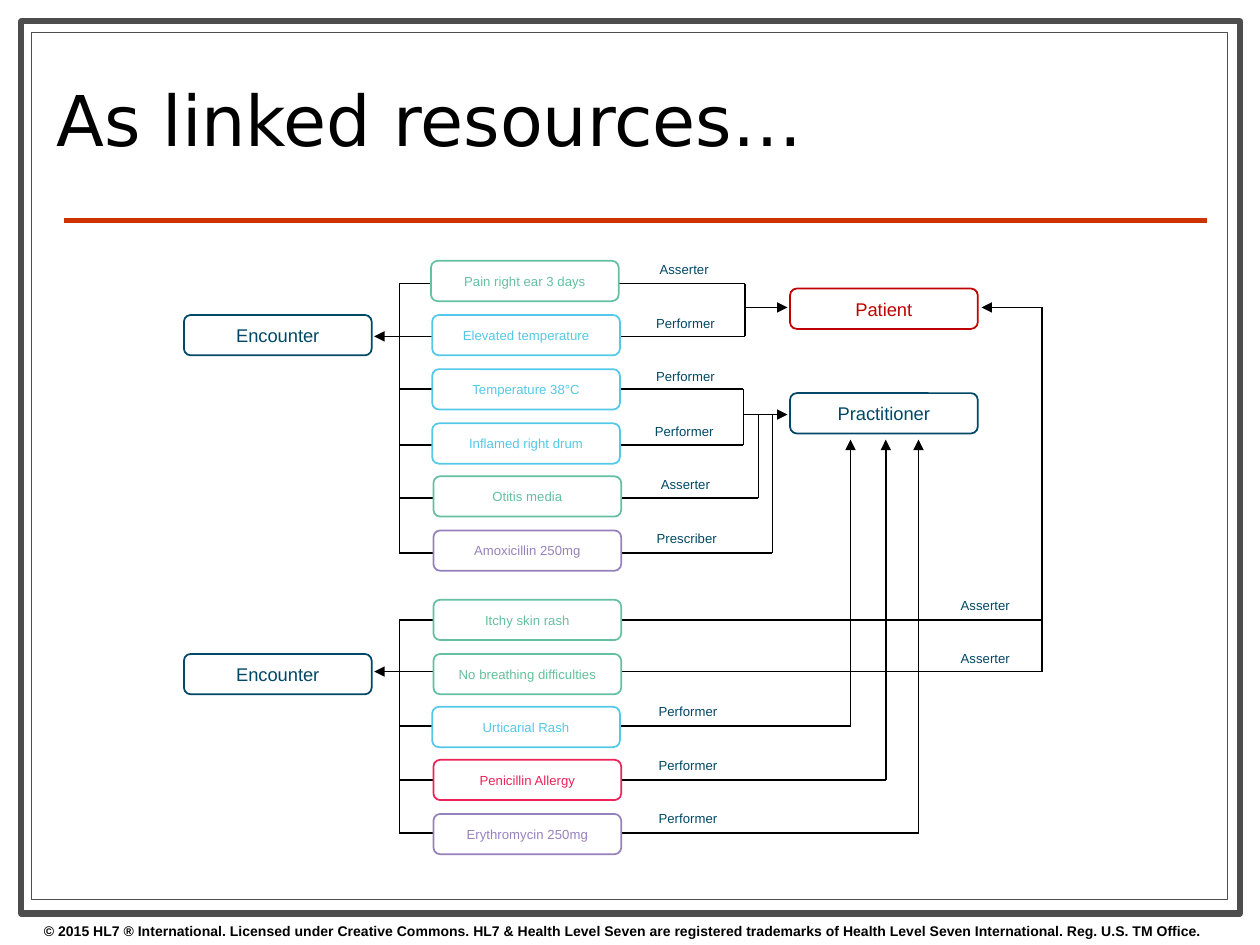
"""Build a slide of two encounters drawn as linked resources."""
from lxml import etree
from pptx import Presentation
from pptx.dml.color import RGBColor
from pptx.enum import shapes, text
from pptx.oxml import ns
from pptx.util import Inches, Pt

BLACK = RGBColor(0, 0, 0)
WHITE = RGBColor(255, 255, 255)
GRAY = RGBColor(0x4D, 0x4D, 0x4D)
RUST = RGBColor(0xCC, 0x33, 0x00)
NAVY = RGBColor(0x00, 0x48, 0x66)
RED = RGBColor(0xC0, 0x00, 0x00)
GREEN = RGBColor(0x64, 0xC0, 0x9F)
SKY = RGBColor(0x54, 0xC8, 0xE8)
PURPLE = RGBColor(0x97, 0x81, 0xBC)
PINK = RGBColor(0xEE, 0x21, 0x59)


def write(shape, words, size=7.5, color=NAVY, font="Arial", bold=False,
          align=text.PP_ALIGN.CENTER, anchor=text.MSO_ANCHOR.MIDDLE, space=1.0):
    frame = shape.text_frame
    frame.word_wrap = True
    frame.vertical_anchor = anchor
    para = frame.paragraphs[0]
    para.alignment = align
    para.line_spacing = space
    run = para.add_run()
    run.text = words
    run.font.size = Pt(size)
    run.font.name = font
    run.font.bold = bold
    run.font.color.rgb = color


def link(x1, y1, x2, y2, color=BLACK, width=1, arrow=False):
    line = slide.shapes.add_connector(
        shapes.MSO_CONNECTOR.STRAIGHT, Inches(x1), Inches(y1), Inches(x2), Inches(y2))
    line.line.color.rgb = color
    line.line.width = Pt(width)
    if arrow:
        etree.SubElement(line.line._get_or_add_ln(), ns.qn("a:tailEnd"), type="triangle")
    etree.SubElement(line._element.spPr, ns.qn("a:effectLst"))


deck = Presentation()
deck.slide_width, deck.slide_height = Inches(10), Inches(7.5)
slide = deck.slides.add_slide(deck.slide_layouts[6])

for left, top, wide, high, weight in [
    (0.17, 0.17, 9.67, 7.08, 3.5),
    (0.25, 0.26, 9.49, 6.88, 0.75),
]:
    frame = slide.shapes.add_shape(
        shapes.MSO_SHAPE.RECTANGLE, Inches(left), Inches(top), Inches(wide), Inches(high))
    frame.shadow.inherit = False
    frame.fill.solid()
    frame.fill.fore_color.rgb = WHITE
    frame.line.color.rgb = GRAY
    frame.line.width = Pt(weight)

link(0.51, 1.75, 9.58, 1.75, RUST, 3)
title = slide.shapes.add_textbox(Inches(0.35), Inches(0.36), Inches(7.17), Inches(1.29))
write(title, "As linked resources…", size=40, color=BLACK, font="DejaVu Sans",
      align=text.PP_ALIGN.LEFT, space=0.8)
foot = slide.shapes.add_textbox(Inches(0.25), Inches(7.27), Inches(10), Inches(0.23))
write(foot, "© 2015 HL7 ® International. Licensed under Creative Commons. "
      "HL7 & Health Level Seven are registered trademarks of "
      "Health Level Seven International. Reg. U.S. TM Office.",
      size=8, color=BLACK, bold=True, align=text.PP_ALIGN.LEFT, anchor=text.MSO_ANCHOR.TOP)

SPINE, PAIR, TEAM, FAR = 3.17, 5.91, 5.9, 8.27
for y, end in [
    (2.25, PAIR), (3.09, TEAM), (3.53, TEAM), (3.95, 6.02), (4.39, 6.13),
    (4.92, FAR), (5.76, 6.75), (6.19, 7.03), (6.61, 7.29),
]:
    link(SPINE, y, end, y)
for x, top, base in [
    (SPINE, 2.25, 4.39), (SPINE, 4.92, 6.61), (PAIR, 2.25, 2.67), (TEAM, 3.09, 3.53),
    (6.02, 3.29, 3.95), (6.13, 3.29, 4.39), (FAR, 2.44, 5.33),
]:
    link(x, top, x, base)
for start, end, y in [
    (PAIR, 2.97, 2.67), (FAR, 2.97, 5.33), (FAR, 7.79, 2.44),
    (PAIR, 6.25, 2.44), (TEAM, 6.25, 3.29),
]:
    link(start, y, end, y, arrow=True)
for x, base in [(6.75, 5.76), (7.03, 6.19), (7.29, 6.61)]:
    link(x, base, x, 3.49, arrow=True)

for words, x, y, color, size in [
    ("Encounter", 1.46, 2.5, NAVY, 10.5),
    ("Encounter", 1.46, 5.19, NAVY, 10.5),
    ("Patient", 6.27, 2.29, RED, 10.5),
    ("Practitioner", 6.27, 3.12, NAVY, 10.5),
    ("Pain right ear 3 days", 3.42, 2.07, GREEN, 7.5),
    ("Elevated temperature", 3.43, 2.5, SKY, 7.5),
    ("Temperature 38°C", 3.43, 2.93, SKY, 7.5),
    ("Inflamed right drum", 3.43, 3.36, SKY, 7.5),
    ("Otitis media", 3.44, 3.78, GREEN, 7.5),
    ("Amoxicillin 250mg", 3.44, 4.21, PURPLE, 7.5),
    ("Itchy skin rash", 3.44, 4.76, GREEN, 7.5),
    ("No breathing difficulties", 3.44, 5.19, GREEN, 7.5),
    ("Urticarial Rash", 3.43, 5.61, SKY, 7.5),
    ("Penicillin Allergy", 3.44, 6.03, PINK, 7.5),
    ("Erythromycin 250mg", 3.44, 6.46, PURPLE, 7.5),
]:
    box = slide.shapes.add_shape(
        shapes.MSO_SHAPE.ROUNDED_RECTANGLE, Inches(x), Inches(y), Inches(1.49), Inches(0.32))
    box.shadow.inherit = False
    box.fill.solid()
    box.fill.fore_color.rgb = WHITE
    box.line.color.rgb = color
    box.line.width = Pt(1)
    write(box, words, size=size, color=color)

for words, x, y in [
    ("Asserter", 5.07, 2.02), ("Performer", 5.08, 2.45), ("Performer", 5.08, 2.87),
    ("Performer", 5.07, 3.31), ("Asserter", 5.08, 3.73), ("Prescriber", 5.09, 4.16),
    ("Asserter", 7.46, 4.69), ("Asserter", 7.46, 5.11), ("Performer", 5.1, 5.53),
    ("Performer", 5.1, 5.96), ("Performer", 5.1, 6.38),
]:
    label = slide.shapes.add_textbox(Inches(x), Inches(y), Inches(0.72), Inches(0.23))
    write(label, words)

deck.save("out.pptx")
